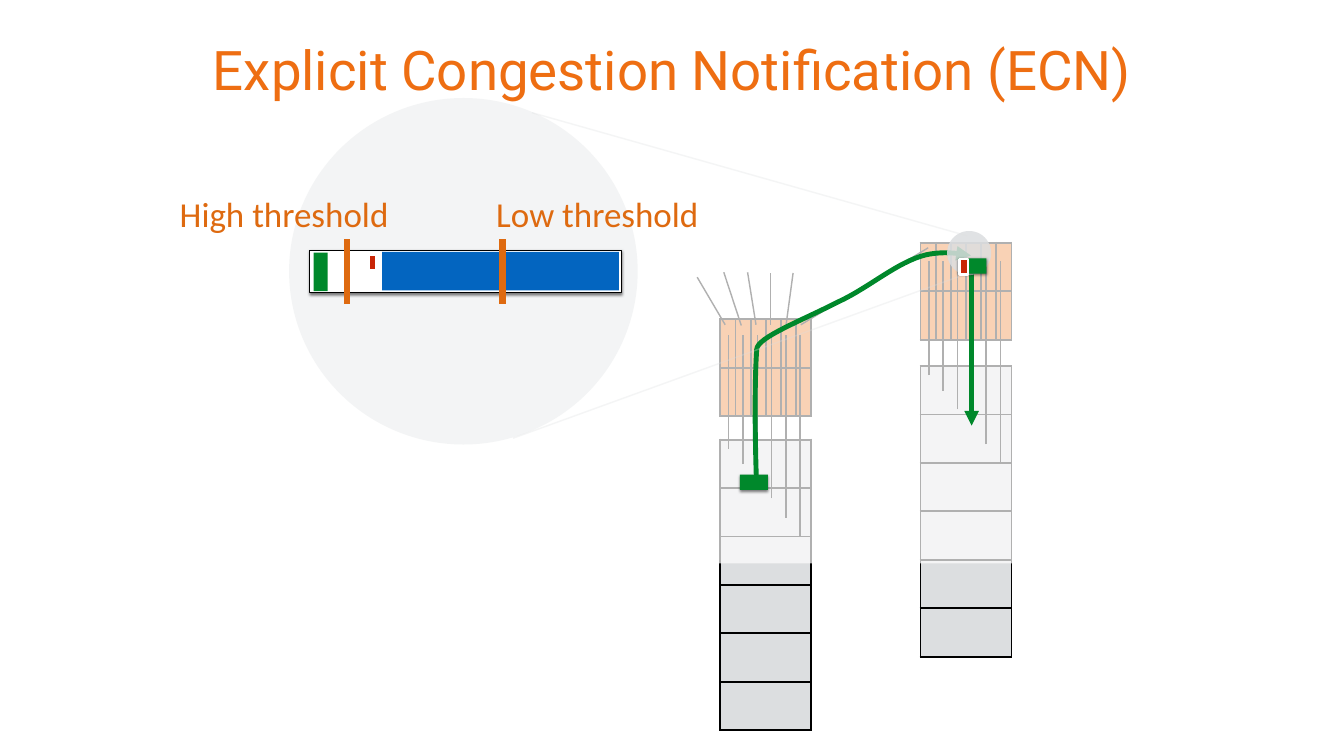
from lxml import etree
from pptx import Presentation
from pptx.dml.color import RGBColor
from pptx.enum.shapes import MSO_CONNECTOR, MSO_SHAPE
from pptx.enum.text import MSO_ANCHOR, PP_ALIGN
from pptx.oxml.ns import qn
from pptx.util import Pt

RECT, OVAL = MSO_SHAPE.RECTANGLE, MSO_SHAPE.OVAL
STRAIGHT = MSO_CONNECTOR.STRAIGHT
MIDDLE, CENTER = MSO_ANCHOR.MIDDLE, PP_ALIGN.CENTER

COLORS = {
    "title": "EE6E12", "threshold": "DE6A10", "port": "EE6E12", "gray": "DCDEE0",
    "flow": "00882B", "mark": "C82506", "queue": "0365C0",
    "black": "000000", "white": "FFFFFF",
}
RACK_WIDTH, ROW_HEIGHT = 130, 69.2
WIRE_DEPTHS = [13, 35, 62, 84, 112, 139]  # how far each wire reaches into the servers
UPLINKS = [  # start and end, from the corner of the switch
    ((115, 8), (297, -102)), ((7, 8), (-33, -60)), ((30, 9), (5, -67)),
    ((51, 8), (39, -67)), ((72, 8), (72, -66)), ((94, 8), (104, -66)),
]
FLOW_START = (1081, 697)
FLOW_CURVES = [
    ((1081, 697), (1076, 575), (1081, 499)),
    ((1082, 482), (1143, 459), (1198, 431)),
    ((1243, 410), (1282, 374), (1323, 364)),
    ((1351, 358), (1375, 363), (1387, 365)),
]


def rgb(name):
    return RGBColor.from_string(COLORS[name])


def add_child(parent, tag, **attributes):
    return etree.SubElement(parent, qn(tag), {k: str(v) for k, v in attributes.items()})


def set_opacity(solid_fill, percent):
    add_child(solid_fill[0], "a:alpha", val=percent * 1000)


def add_arrowhead(line_shape):
    add_child(line_shape.element.spPr.find(qn("a:ln")), "a:tailEnd", type="triangle")


def add_block(slide, kind, box, color, opacity=None, outline=None, shadow=False):
    """Add a filled shape; outline is a (color, width) pair."""
    block = slide.shapes.add_shape(kind, *map(Pt, box))
    block.shadow.inherit = False
    block.fill.solid()
    block.fill.fore_color.rgb = rgb(color)
    properties = block.element.spPr
    if opacity:
        set_opacity(properties.find(qn("a:solidFill")), opacity)
    if outline:
        block.line.color.rgb = rgb(outline[0])
        block.line.width = Pt(outline[1])
    else:
        block.line.fill.background()
    if shadow:
        outer = add_child(properties.find(qn("a:effectLst")), "a:outerShdw",
                          blurRad=Pt(4), dist=Pt(2), dir=5400000, rotWithShape=0)
        shade = add_child(outer, "a:srgbClr", val=COLORS["black"])
        add_child(shade, "a:alpha", val=50000)


def add_line(slide, start, end, color="black", width=2, opacity=None):
    line = slide.shapes.add_connector(STRAIGHT, *map(Pt, (*start, *end)))
    line.line.color.rgb = rgb(color)
    line.line.width = Pt(width)
    properties = line.element.spPr
    if opacity:
        set_opacity(properties.find(qn("a:ln")).find(qn("a:solidFill")), opacity)
    add_child(properties, "a:effectLst")
    return line


def add_grid(slide, left, top, rows, columns, color):
    """Add an empty bordered table as wide as a rack."""
    grid = slide.shapes.add_table(rows, columns, Pt(left), Pt(top), Pt(RACK_WIDTH),
                                  Pt(rows * ROW_HEIGHT)).table
    grid.first_row = grid.horz_banding = False
    for row in grid.rows:
        row.height = Pt(ROW_HEIGHT)
    for cell in grid.iter_cells():
        properties = cell._tc.get_or_add_tcPr()
        for side in ("a:lnL", "a:lnR", "a:lnT", "a:lnB"):
            border = add_child(properties, side, w=Pt(3))
            add_child(add_child(border, "a:solidFill"), "a:srgbClr", val=COLORS["black"])
        cell.fill.solid()
        cell.fill.fore_color.rgb = rgb(color)


def add_rack(slide, left, top, wire_top, servers_top):
    """Add a switch with its servers and the wires that join them."""
    add_grid(slide, left, top, 2, 6, "port")
    add_grid(slide, left, servers_top, 6, 1, "gray")
    for i, depth in enumerate(WIRE_DEPTHS):
        x = left + 12 + 20.4 * i
        add_line(slide, (x, servers_top + depth), (x, top + wire_top))


def add_uplinks(slide, left, top):
    for (x1, y1), (x2, y2) in UPLINKS:
        add_line(slide, (left + x1, top + y1), (left + x2, top + y2))


def add_flow(slide):
    """Draw the path of the flow through both switches."""
    points, start = [], FLOW_START
    for near, far, end in FLOW_CURVES:
        for step in range(1, 17):
            t = step / 16
            weights = ((1 - t) ** 3, 3 * t * (1 - t) ** 2, 3 * t * t * (1 - t), t ** 3)
            corners = (start, near, far, end)
            points.append(tuple(Pt(sum(w * c[axis] for w, c in zip(weights, corners)))
                                for axis in (0, 1)))
        start = end
    builder = slide.shapes.build_freeform(*map(Pt, FLOW_START))
    builder.add_line_segments(points, close=False)
    flow = builder.convert_to_shape()
    flow.shadow.inherit = False
    flow.fill.background()
    flow.line.color.rgb = rgb("flow")
    flow.line.width = Pt(7)
    add_arrowhead(flow)
    add_packet(slide, 1057, 678)
    add_arrowhead(add_line(slide, (1388, 373), (1388, 608), "flow", 7))


def add_packet(slide, left, top):
    add_block(slide, RECT, (left, top, 40, 22), "flow", shadow=True)


def add_mark(slide, left, top):
    add_block(slide, RECT, (left, top, 12, 22), "mark", outline=("white", 4))


def add_queue_zoom(slide, left, top):
    """Magnify the queue of the upper switch."""
    add_block(slide, OVAL, (left, top, 498, 495), "gray", 32)
    add_block(slide, RECT, (left + 29, top + 217, 445, 61), "white",
              outline=("black", 1), shadow=True)
    add_block(slide, RECT, (left + 133, top + 220, 338, 55), "queue")
    add_line(slide, (left + 347, top + 21), (left + 969, top + 197), "gray", 2, 30)
    add_line(slide, (left + 320, top + 486), (left + 982, top + 246), "gray", 2, 30)
    add_block(slide, OVAL, (left + 940, top + 190, 63, 63), "gray", 86)
    add_block(slide, RECT, (left + 35, top + 221, 20, 55), "flow")
    add_mark(slide, left + 113, top + 224)


def add_threshold(slide, x, label, label_left, label_width):
    add_line(slide, (x, 434), (x, 341), "threshold", 9)
    frame = slide.shapes.add_textbox(*map(Pt, (label_left, 271, label_width, 69))).text_frame
    frame.word_wrap = False
    format_text(frame, label, "Calibri", 50, "threshold")


def format_text(frame, text, font_name, size, color):
    frame.text = text
    frame.vertical_anchor = MIDDLE
    frame.margin_left = frame.margin_right = frame.margin_top = frame.margin_bottom = Pt(6)
    paragraph = frame.paragraphs[0]
    paragraph.alignment = CENTER
    font = paragraph.runs[0].font
    font.name, font.size, font.color.rgb = font_name, Pt(size), rgb(color)


def add_title(slide, left, top, width, height):
    title = slide.shapes.title
    title.left, title.top, title.width, title.height = map(Pt, (left, top, width, height))
    format_text(title.text_frame, "Explicit Congestion Notification (ECN)",
                "Roboto", 78, "title")


def main():
    deck = Presentation()
    deck.slide_width, deck.slide_height = Pt(1920), Pt(1080)
    slide = deck.slides.add_slide(deck.slide_layouts[5])
    add_title(slide, 240, 0, 1440, 197)
    add_rack(slide, 1315, 347, 26, 523)
    add_rack(slide, 1029, 456, 22, 628)
    add_uplinks(slide, 1029, 456)
    add_block(slide, RECT, (938, 331, 593, 474), "white", 69)
    add_flow(slide)
    add_queue_zoom(slide, 413, 140)
    add_packet(slide, 1369, 369)
    add_mark(slide, 1371, 370)
    add_threshold(slide, 496, "High threshold", 250, 312)
    add_threshold(slide, 718, "Low threshold", 700, 307)
    deck.save("out.pptx")


if __name__ == "__main__":
    main()
